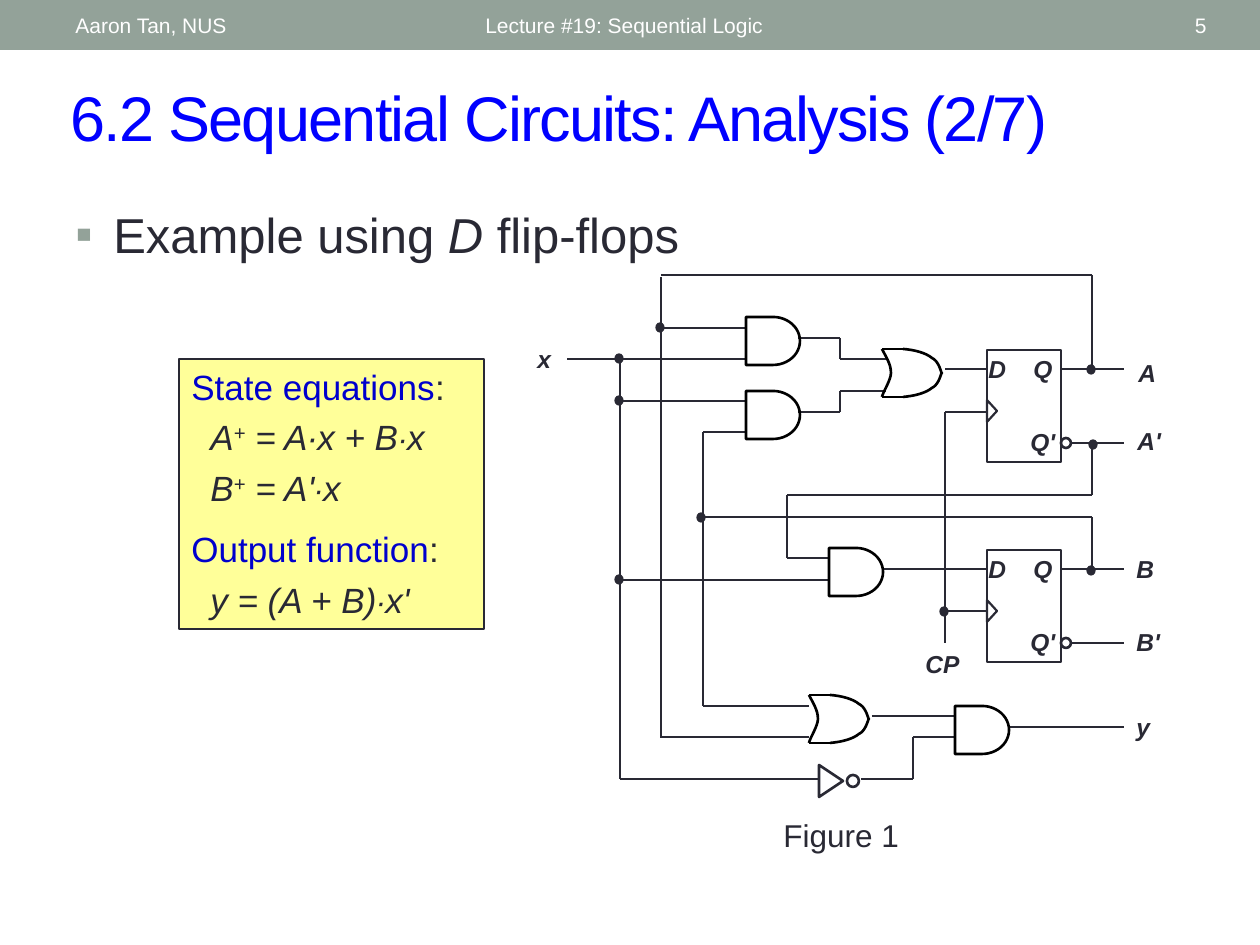
from itertools import pairwise

from lxml import etree
from pptx import Presentation
from pptx.dml.color import RGBColor
from pptx.enum.shapes import MSO_CONNECTOR, MSO_SHAPE
from pptx.enum.text import MSO_ANCHOR, PP_ALIGN
from pptx.oxml.ns import qn
from pptx.util import Emu, Pt

RECT, OVAL = MSO_SHAPE.RECTANGLE, MSO_SHAPE.OVAL
DELAY, EXTRACT = MSO_SHAPE.FLOWCHART_DELAY, MSO_SHAPE.FLOWCHART_EXTRACT
TRIANGLE = MSO_SHAPE.ISOSCELES_TRIANGLE
STRAIGHT = MSO_CONNECTOR.STRAIGHT
TOP, MIDDLE = MSO_ANCHOR.TOP, MSO_ANCHOR.MIDDLE
LEFT, RIGHT = PP_ALIGN.LEFT, PP_ALIGN.RIGHT

SCALE = 914400 / 126
FONT = "Arial"
COLORS = {
    "ink": "292934", "black": "000000", "white": "FFFFFF", "sage": "93A299",
    "title": "0000FF", "head": "0000CC", "note": "FFFF99",
}


def emu(px):
    return Emu(round(px * SCALE))


def color(name):
    return RGBColor.from_string(COLORS[name])


def bezier(a, b, c, d, steps=8):
    """Points along a cubic curve, without its start."""
    for i in range(1, steps + 1):
        t = i / steps
        u = 1 - t
        yield tuple(u**3 * p + 3 * u * u * t * q + 3 * u * t * t * r + t**3 * s
                    for p, q, r, s in zip(a, b, c, d))


def write(frame, text, size=14, ink="ink", bold=False, italic=False, align=LEFT,
          before=0, indent=0, bullet=None, track=0, first=True):
    """Write one paragraph; text is a string or a list of (string, changes)."""
    para = frame.paragraphs[0] if first else frame.add_paragraph()
    para.alignment = align
    props = para._p.get_or_add_pPr()
    if indent:
        props.set("marL", str(emu(indent)))
    if bullet:
        props.set("indent", str(-emu(indent)))
        tint = etree.SubElement(props, qn("a:buClr"))
        etree.SubElement(tint, qn("a:srgbClr"), val=COLORS["sage"])
        etree.SubElement(props, qn("a:buFont"), typeface=FONT)
        etree.SubElement(props, qn("a:buChar"), char=bullet)
    if before:
        para.space_before = Pt(before)
    for words, change in [(text, {})] if isinstance(text, str) else text:
        run = para.add_run()
        run.text = words
        font = run.font
        font.name, font.size = FONT, Pt(change.get("size", size))
        font.bold, font.italic = bold, change.get("italic", italic)
        font.color.rgb = color(change.get("ink", ink))
        if track:
            run._r.get_or_add_rPr().set("spc", str(track * 100))
        if "raise" in change:
            run._r.get_or_add_rPr().set("baseline", str(change["raise"] * 1000))


class Board:
    """Holds the line style and the current slide."""

    def __init__(self, slide, ink="ink", wire=1.25, gate=1.5):
        self.shapes = slide.shapes
        self.ink, self.wire_pt, self.gate_pt = ink, wire, gate

    def paint(self, shape, fill, line, width):
        shape.shadow.inherit = False
        if fill:
            shape.fill.solid()
            shape.fill.fore_color.rgb = color(fill)
        else:
            shape.fill.background()
        if line:
            shape.line.color.rgb = color(line)
            shape.line.width = Pt(width)
        else:
            shape.line.fill.background()
        return shape

    def shape(self, kind, box, fill=None, line="ink", width=1.5, turn=0):
        shape = self.shapes.add_shape(kind, *map(emu, box))
        shape.rotation = turn
        return self.paint(shape, fill, line, width)

    def text(self, box, text, wrap=True, anchor=TOP, **style):
        frame = self.shapes.add_textbox(*map(emu, box)).text_frame
        frame.word_wrap = wrap
        frame.vertical_anchor = anchor
        write(frame, text, **style)

    def label(self, x, y, w, text):
        self.text((x, y, w, 42), text, wrap=False, bold=True, italic=True)

    def wire(self, *points, ink=None, width=None):
        """Join the points by straight lines."""
        for a, b in pairwise(points):
            line = self.shapes.add_connector(STRAIGHT, *map(emu, a + b))
            line.line.color.rgb = color(ink or self.ink)
            line.line.width = Pt(width or self.wire_pt)
            etree.SubElement(line._element.spPr, qn("a:effectLst"))

    def curve(self, x, y, points):
        """Draw chained cubic curves, placed from x, y."""
        path = [(emu(x + a), emu(y + b)) for a, b in points]
        build = self.shapes.build_freeform(*path[0], scale=1.0)
        for i in range(0, len(path) - 1, 3):
            build.add_line_segments(list(bezier(*path[i:i + 4])), close=False)
        self.paint(build.convert_to_shape(), None, "black", self.gate_pt)

    def dot(self, x, y):
        self.shape(OVAL, (x - 4, y - 4, 8, 9), fill="ink", width=0.75)

    def and_gate(self, x, y):
        self.shape(DELAY, (x, y, 54, 48), line="black")

    def or_gate(self, x, y):
        high = 48
        nose = [(21, 0), (33, 1), (44, 4), (50, 9), (56, 12), (58, 19), (60, 25)]
        self.curve(x, y, [(0, 0), (4, 8), (9, 15), (9, 24), (9, 31), (1, 43), (0, high)])
        self.curve(x, y, nose)
        self.curve(x, y, [(a, high - b) for a, b in nose])
        for edge in (y, y + high):
            self.wire((x, edge), (x + 21, edge), ink="black", width=self.gate_pt)

    def flip_flop(self, y):
        self.shape(RECT, (987, y, 74, 112))
        self.label(976, y - 2, 43, "D")
        self.label(1021, y - 2, 44, "Q")
        self.label(1018, y + 71, 53, "Q'")
        self.shape(TRIANGLE, (981, y + 56, 22, 10), width=self.wire_pt, turn=90)
        self.shape(OVAL, (1061, y + 88, 10, 10), fill="white")


WIRES = [
    [(661, 277), (661, 738)], [(661, 275), (1092, 275), (1092, 369)],
    [(661, 328), (746, 328)], [(661, 737), (809, 737)],
    [(567, 359), (746, 359)], [(620, 359), (620, 779), (819, 779)],
    [(620, 401), (747, 401)], [(620, 580), (829, 580)],
    [(746, 432), (703, 432), (703, 706), (809, 706)],
    [(798, 338), (840, 338), (840, 359), (886, 359)],
    [(798, 412), (840, 412), (840, 391), (886, 391)],
    [(945, 369), (987, 369)], [(1061, 369), (1124, 369)],
    [(1061, 443), (1124, 443)],
    [(1092, 443), (1092, 495), (787, 495), (787, 558), (829, 558)],
    [(703, 517), (1092, 517), (1092, 569)],
    [(882, 569), (987, 569)], [(1061, 569), (1124, 569)],
    [(1061, 643), (1124, 643)],
    [(987, 412), (945, 412), (945, 643)], [(945, 611), (987, 611)],
    [(861, 779), (913, 779), (913, 737), (955, 737)],
    [(872, 716), (955, 716)], [(1008, 727), (1124, 727)],
]
DOTS = [(660, 327), (619, 358), (619, 400), (619, 579), (701, 517),
        (1091, 369), (1093, 444), (1091, 570), (944, 611)]
LABELS = [(525, 338, 39, "x"), (913, 643, 59, "CP"), (1126, 352, 43, "A"),
          (1125, 420, 49, "A'"), (1124, 548, 43, "B"), (1124, 621, 49, "B'"),
          (1124, 706, 39, "y")]


def circuit(board):
    for points in WIRES:
        board.wire(*points)
    for spot in [(746, 317), (746, 391), (829, 548), (955, 706)]:
        board.and_gate(*spot)
    for spot in [(882, 349), (809, 695)]:
        board.or_gate(*spot)
    board.shape(EXTRACT, (815, 769, 32, 24), turn=90)
    board.shape(OVAL, (847, 775, 12, 12))
    for y in (350, 550):
        board.flip_flop(y)
    for spot in DOTS:
        board.dot(*spot)
    for label in LABELS:
        board.label(*label)
    board.text((771, 810, 158, 50), "Figure 1", size=18)


def note(board):
    box = board.shape(RECT, (179, 359, 305, 270), fill="note", width=0.75)
    frame = box.text_frame
    frame.word_wrap = True
    frame.vertical_anchor = TOP
    plus, times = ("+", {"raise": 30}), ("∙", {"size": 18})
    groups = [
        ("State equations", [
            [("A", {}), plus, (" = A∙x + B", {}), times, ("x", {})],
            [("B", {}), plus, (" = A'", {}), times, ("x", {})]]),
        ("Output function", [[("y = (A + B)", {}), times, ("x'", {})]]),
    ]
    for i, (head, lines) in enumerate(groups):
        write(frame, [(head, {"ink": "head"}), (":", {})], size=20,
              before=11 if i else 0, first=i == 0)
        for line in lines:
            write(frame, line, size=20, italic=True, before=5, indent=19, first=False)


def main():
    deck = Presentation()
    deck.slide_width, deck.slide_height = emu(1260), emu(945)
    board = Board(deck.slides.add_slide(deck.slide_layouts[6]))
    board.shape(RECT, (0, 0, 1260, 50), fill="sage", line=None)
    for x, w, words, align in [(63, 399, "Aaron Tan, NUS", LEFT),
                               (473, 567, "Lecture #19: Sequential Logic", LEFT),
                               (1099, 120, "5", RIGHT)]:
        board.text((x, 3, w, 45), words, anchor=MIDDLE, size=12, ink="white", align=align)
    board.text((58, 72, 1160, 88), "6.2 Sequential Circuits: Analysis (2/7)",
               anchor=MIDDLE, size=36, ink="title", track=-1)
    board.text((63, 195, 1134, 78),
               [("Example using ", {}), ("D", {"italic": True}), (" flip-flops", {})],
               anchor=MIDDLE, size=28, indent=38, bullet="▪")
    note(board)
    circuit(board)
    deck.save("out.pptx")


if __name__ == "__main__":
    main()
